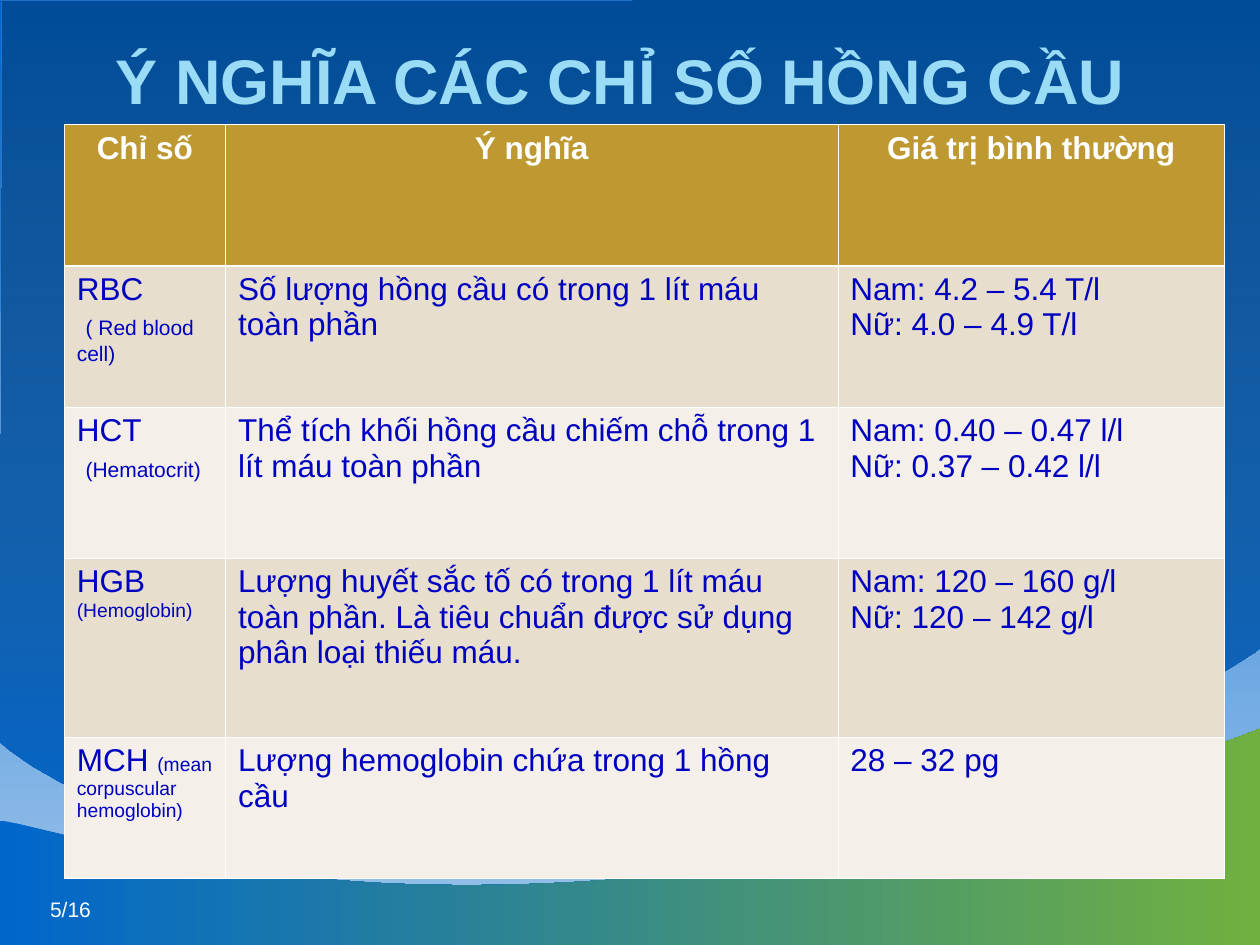
from typing import NamedTuple

from lxml import etree
from pptx import Presentation
from pptx.dml.color import RGBColor
from pptx.enum.text import MSO_ANCHOR, PP_ALIGN
from pptx.oxml.ns import qn
from pptx.util import Inches, Pt

LEFT, CENTER, RIGHT = PP_ALIGN.LEFT, PP_ALIGN.CENTER, PP_ALIGN.RIGHT
TOP, BOTTOM = MSO_ANCHOR.TOP, MSO_ANCHOR.BOTTOM
FONT = "Arial"
COLORS = {
    "blue": "0066CC", "sky": "9BC3EB", "navy": "002F5E", "green": "70B040",
    "title": "9ADCF6", "white": "FFFFFF", "text": "0000C0",
    "header": "BE9932", "band": "E8DECD", "plain": "F4EFE8",
}
COLUMN_WIDTHS = (1.28, 4.86, 3.07)
ROW_HEIGHTS = (1.12, 1.12, 1.2, 1.42, 1.12)
THIN, THICK = 0.45, 1.47


class Run(NamedTuple):
    text: str
    size: float = 18
    color: str = "text"
    bold: bool = False


class Label(NamedTuple):
    box: tuple
    run: Run
    alignment: PP_ALIGN
    anchor: MSO_ANCHOR


class Wave(NamedTuple):
    start: tuple
    curves: list  # two control points and an end point each
    corners: list
    colors: tuple
    angle: int
    first_alpha: int = 100


WAVES = [
    Wave((0, 5.89),
         [((0.12, 6.01), (1.11, 6.79), (3.44, 6.89)),
          ((5.76, 6.99), (9.38, 5.69), (10.03, 5.12))],
         [(10.03, 0), (0.01, 0.01), (0.02, 0.03)],
         ("navy", "blue"), 270, 46),
    Wave((0, 6.52),
         [((0.03, 6.47), (1.3, 6.92), (3.06, 7.01)),
          ((4.82, 7.09), (7.23, 6.86), (10.01, 5.78))],
         [(10, 7.53), (-0.02, 7.52)],
         ("blue", "green"), 0),
]

LABELS = [
    Label((0.2, 0.28, 9.45, 0.7),
          Run("Ý NGHĨA CÁC CHỈ SỐ HỒNG CẦU", 36, "title", True), CENTER, BOTTOM),
    Label((0.1, 7.07, 0.72, 0.23), Run("5/16", 12, "white"), RIGHT, TOP),
]

HEADERS = ["Chỉ số", "Ý nghĩa", "Giá trị bình thường"]
# Each row: index paragraphs, meaning, normal values
ROWS = [
    ([[Run("RBC")], [Run(" "), Run("( Red blood cell)", 12)]],
     "Số lượng hồng cầu có trong 1 lít máu toàn phần",
     ["Nam: 4.2 – 5.4 T/l", "Nữ: 4.0 – 4.9 T/l"]),
    ([[Run("HCT")], [Run(" "), Run("(Hematocrit)", 12)]],
     "Thể tích khối hồng cầu chiếm chỗ trong 1 lít máu toàn phần",
     ["Nam: 0.40 – 0.47 l/l", "Nữ: 0.37 – 0.42 l/l"]),
    ([[Run("HGB")], [Run("(Hemoglobin)", 11)]],
     "Lượng huyết sắc tố có trong 1 lít máu toàn phần. "
     "Là tiêu chuẩn được sử dụng phân loại thiếu máu.",
     ["Nam: 120 – 160 g/l", "Nữ: 120 – 142 g/l"]),
    ([[Run("MCH "), Run("(mean corpuscular hemoglobin)", 11)]],
     "Lượng hemoglobin chứa trong 1 hồng cầu",
     ["28 – 32 pg"]),
]


def rgb(name: str) -> RGBColor:
    return RGBColor.from_string(COLORS[name])


def set_gradient(fill, colors: tuple, angle: int) -> None:
    fill.gradient()
    fill.gradient_angle = angle
    for stop, name, position in zip(fill.gradient_stops, colors, (0, 1)):
        stop.color.rgb = rgb(name)
        stop.position = position


def bend_segments(shape, curve_count: int) -> None:
    """Turn each leading group of three line segments into one Bezier curve."""
    lines = shape.element.xpath(".//a:lnTo")[:3 * curve_count]
    for first in range(0, len(lines), 3):
        group = lines[first:first + 3]
        curve = etree.Element(qn("a:cubicBezTo"))
        group[0].addprevious(curve)
        for line in group:
            curve.append(line[0])
            line.getparent().remove(line)


def draw_wave(slide, wave: Wave) -> None:
    points = [point for curve in wave.curves for point in curve] + wave.corners
    builder = slide.shapes.build_freeform(*map(Inches, wave.start))
    builder.add_line_segments([(Inches(x), Inches(y)) for x, y in points], close=True)
    shape = builder.convert_to_shape()
    bend_segments(shape, len(wave.curves))
    shape.shadow.inherit = False
    shape.line.fill.background()
    set_gradient(shape.fill, wave.colors, wave.angle)
    if wave.first_alpha < 100:
        color = shape.element.xpath(".//a:gs//a:srgbClr")[0]
        etree.SubElement(color, qn("a:alpha"), val=str(wave.first_alpha * 1000))


def write_text(frame, paragraphs: list, alignment: PP_ALIGN) -> None:
    for index, runs in enumerate(paragraphs):
        paragraph = frame.add_paragraph() if index else frame.paragraphs[0]
        paragraph.alignment = alignment
        for item in runs:
            run = paragraph.add_run()
            run.text = item.text
            formats = {"name": FONT, "size": Pt(item.size), "bold": item.bold}
            for name, value in formats.items():
                setattr(run.font, name, value)
            run.font.color.rgb = rgb(item.color)


def draw_label(slide, label: Label) -> None:
    frame = slide.shapes.add_textbox(*map(Inches, label.box)).text_frame
    frame.word_wrap = True
    frame.vertical_anchor = label.anchor
    write_text(frame, [[label.run]], label.alignment)


def set_borders(cell, widths: dict) -> None:
    properties = cell._tc.get_or_add_tcPr()
    for index, (side, width) in enumerate(widths.items()):
        line = etree.Element(qn(f"a:ln{side}"), w=str(Pt(width)))
        fill = etree.SubElement(line, qn("a:solidFill"))
        etree.SubElement(fill, qn("a:srgbClr"), val=COLORS["white"])
        properties.insert(index, line)


def draw_table(slide) -> None:
    table = slide.shapes.add_table(
        len(ROW_HEIGHTS), len(COLUMN_WIDTHS), Inches(0.51), Inches(0.99),
        Inches(sum(COLUMN_WIDTHS)), Inches(sum(ROW_HEIGHTS))).table
    for column, width in zip(table.columns, COLUMN_WIDTHS):
        column.width = Inches(width)
    for row, height in zip(table.rows, ROW_HEIGHTS):
        row.height = Inches(height)

    contents = [[[[Run(text, 18, "white", True)]] for text in HEADERS]]
    for index, meaning, values in ROWS:
        contents.append([index, [[Run(meaning)]], [[Run(value)] for value in values]])

    for row, cells in enumerate(contents):
        fill = "header" if row == 0 else "band" if row % 2 else "plain"
        borders = {"L": THIN, "R": THIN, "T": THICK if row == 1 else THIN,
                   "B": THICK if row == 0 else THIN}
        for column, paragraphs in enumerate(cells):
            cell = table.cell(row, column)
            cell.fill.solid()
            cell.fill.fore_color.rgb = rgb(fill)
            set_borders(cell, borders)
            write_text(cell.text_frame, paragraphs, LEFT if row else CENTER)


def main() -> None:
    presentation = Presentation()
    presentation.slide_width, presentation.slide_height = Inches(10), Inches(7.5)
    slide = presentation.slides.add_slide(presentation.slide_layouts[6])

    # Background and waves
    set_gradient(slide.background.fill, ("blue", "sky"), 270)
    for wave in WAVES:
        draw_wave(slide, wave)

    # Title, page number and table
    for label in LABELS:
        draw_label(slide, label)
    draw_table(slide)
    presentation.save("out.pptx")


if __name__ == "__main__":
    main()
